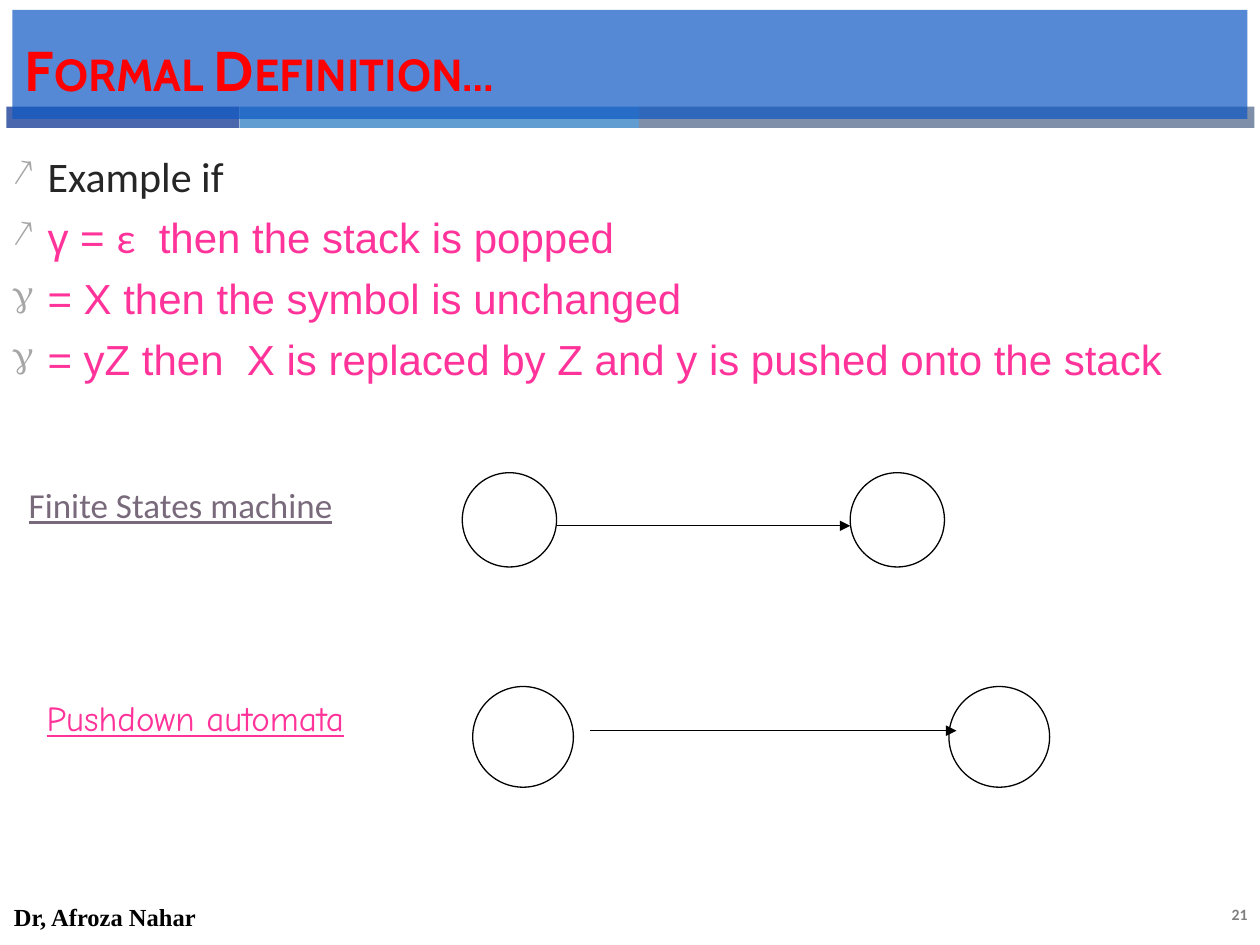
from lxml.etree import SubElement
from pptx import Presentation
from pptx.dml.color import RGBColor
from pptx.enum.shapes import MSO_CONNECTOR as Connector, MSO_SHAPE as Preset
from pptx.enum.text import MSO_ANCHOR as Anchor, PP_ALIGN as Align
from pptx.oxml.ns import qn
from pptx.util import Cm, Pt

COLORS = {
    "title_bar": "0E58C4", "title": "FF0000", "navy": "4A66AC", "sky": "629DD1",
    "slate": "7F8FA9", "body": "262626", "pink": "FF3399", "bullet": "A6A6A6",
    "label": "78697B", "number": "808080", "black": "000000",
}


def color(name):
    return RGBColor.from_string(COLORS[name])


def add_run(paragraph, text, font, size, color_name, bold=False, underline=False):
    run = paragraph.add_run()
    run.text = text
    run.font.name = font
    run.font.size = Pt(size)
    run.font.color.rgb = color(color_name)
    run.font.bold = bold
    run.font.underline = underline
    return run


def add_text_box(slide, left, top, width, height, anchor=Anchor.TOP):
    box = slide.shapes.add_textbox(Cm(left), Cm(top), Cm(width), Cm(height))
    box.text_frame.word_wrap = True
    box.text_frame.vertical_anchor = anchor
    return box.text_frame


def add_block(slide, left, top, width, height, fill):
    shape = slide.shapes.add_shape(Preset.RECTANGLE, Cm(left), Cm(top), Cm(width), Cm(height))
    shape.shadow.inherit = False
    shape.fill.solid()
    shape.fill.fore_color.rgb = color(fill)
    shape.line.fill.background()
    return shape


def add_header(slide, left, top, width, height):
    strip_left = left - 0.12
    for strip_width, fill in ((4.7, "navy"), (8.05, "sky"), (12.41, "slate")):
        add_block(slide, strip_left, top + 1.95, strip_width, 0.43, fill)
        strip_left += strip_width
    bar = add_block(slide, left, top, width, height, "title_bar")
    fill_color = bar.fill._xPr.find(qn("a:solidFill"))[0]
    SubElement(fill_color, qn("a:alpha")).set("val", "70000")
    frame = bar.text_frame
    frame.word_wrap = True
    frame.vertical_anchor = Anchor.MIDDLE
    frame.margin_top = Cm(0.33)
    paragraph = frame.paragraphs[0]
    paragraph.alignment = Align.LEFT
    run = add_run(paragraph, "Formal Definition…", "Cabin", 32, "title", bold=True)
    run.font._element.set("cap", "small")


def add_bullet(paragraph, character):
    properties = paragraph._p.get_or_add_pPr()
    indent = Cm(0.71)
    properties.set("marL", str(indent))
    properties.set("indent", str(-indent))
    bullet_color = SubElement(properties, qn("a:buClr"))
    SubElement(bullet_color, qn("a:srgbClr")).set("val", COLORS["bullet"])
    SubElement(properties, qn("a:buSzPct")).set("val", "90000")
    SubElement(properties, qn("a:buChar")).set("char", character)


def add_cases(slide, left, top, width, height):
    cases = (
        ("↗", (("Example if", "Calibri", "body"),)),
        ("↗", (("γ = ", "Arial", "pink"), ("ε", "Calibri", "pink"),
               ("  then the stack is popped", "Arial", "pink"))),
        ("γ", (("= X then the symbol is unchanged", "Arial", "pink"),)),
        ("γ", (("= yZ then  X is replaced by Z and y is pushed onto the stack",
                "Arial", "pink"),)),
    )
    frame = add_text_box(slide, left, top, width, height)
    frame.margin_top = Cm(0.34)
    for index, (bullet, runs) in enumerate(cases):
        paragraph = frame.add_paragraph() if index else frame.paragraphs[0]
        if index:
            paragraph.space_before = Pt(6)
        add_bullet(paragraph, bullet)
        for text, font, color_name in runs:
            add_run(paragraph, text, font, 24, color_name)


def add_state(slide, left, top, diameter):
    state = slide.shapes.add_shape(Preset.OVAL, Cm(left), Cm(top), Cm(diameter), Cm(diameter))
    state.shadow.inherit = False
    state.fill.background()
    state.line.color.rgb = color("black")
    state.line.width = Pt(0.75)


def add_arrow(slide, start, end, y):
    arrow = slide.shapes.add_connector(Connector.STRAIGHT, Cm(start), Cm(y), Cm(end), Cm(y))
    arrow.line.color.rgb = color("black")
    arrow.line.width = Pt(0.75)
    SubElement(arrow.line._get_or_add_ln(), qn("a:tailEnd")).set("type", "triangle")
    SubElement(arrow._element.spPr, qn("a:effectLst"))


def add_machine(slide, left, top, label, font, label_color, label_box, states, diameter, arrow):
    label_top, label_width = label_box
    start, end, arrow_top = arrow
    for state_left in states:
        add_state(slide, left + state_left, top, diameter)
    add_arrow(slide, left + start, left + end, top + arrow_top)
    frame = add_text_box(slide, left, top + label_top, label_width, 1.12)
    add_run(frame.paragraphs[0], label, font, 20, label_color, underline=True)


def add_footer(slide, left, top, width, height):
    author = add_text_box(slide, left, top, 17, height, Anchor.MIDDLE)
    add_run(author.paragraphs[0], "Dr, Afroza Nahar", "Times New Roman", 14, "black", bold=True)
    number_width = 3.23
    number = add_text_box(slide, left + width - number_width, top + 0.15, number_width, 0.64)
    number.paragraphs[0].alignment = Align.RIGHT
    add_run(number.paragraphs[0], "21", "Calibri", 9, "number", bold=True)


def main():
    presentation = Presentation()
    presentation.slide_width = Cm(25.4)
    presentation.slide_height = Cm(19.05)
    slide = presentation.slides.add_slide(presentation.slide_layouts[6])
    add_header(slide, 0.25, 0.2, 24.9, 2.2)
    add_cases(slide, 0, 2.69, 25.4, 15.19)
    add_footer(slide, 0.03, 17.96, 25.37, 1.02)
    add_machine(slide, 0.33, 9.53, "Finite States machine", "Calibri", "label",
                (0.1, 7.8), (8.99, 16.81), 1.9, (10.9, 16.81, 1.07))
    add_machine(slide, 0.69, 13.84, "Pushdown automata", "Comic Neue", "pink",
                (0.08, 6.93), (8.84, 18.44), 2.03, (11.2, 18.59, 0.89))
    presentation.save("out.pptx")


if __name__ == "__main__":
    main()
